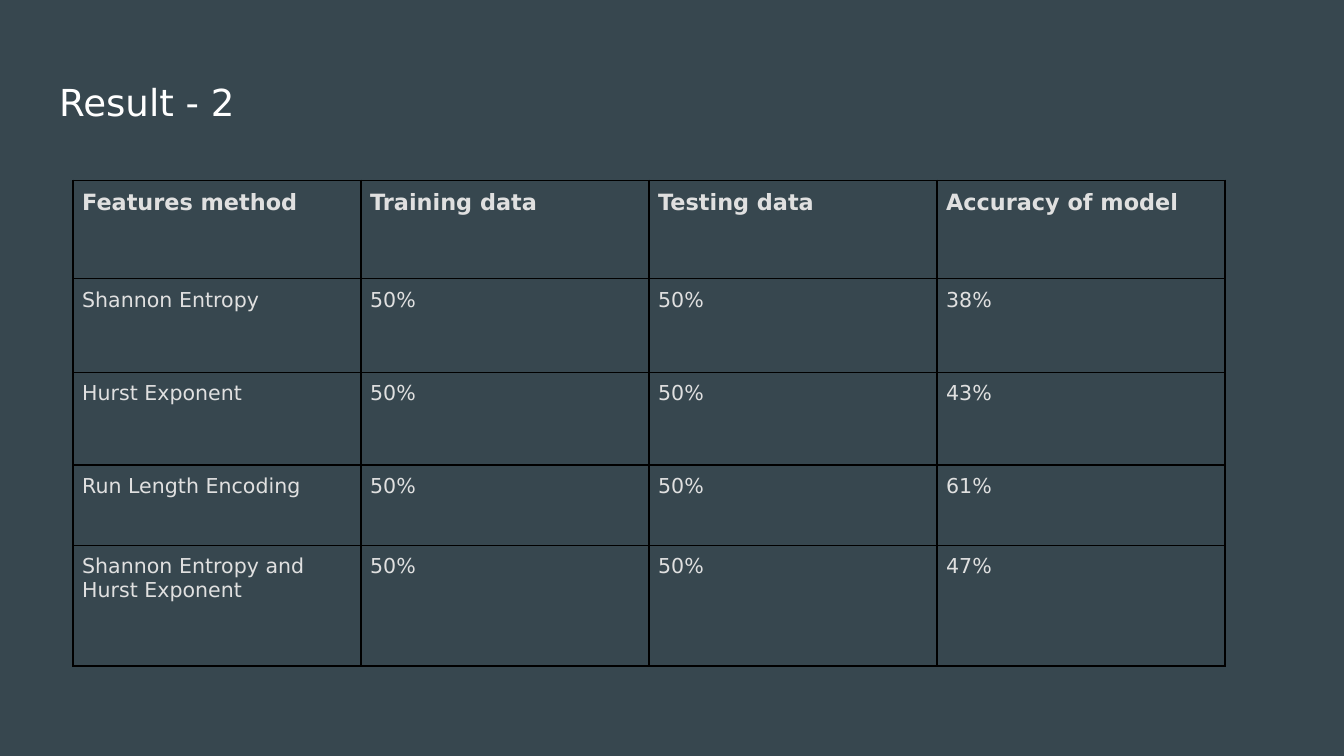
"""Build the slide with the second table of results."""

from lxml.etree import SubElement
from pptx import Presentation
from pptx.dml.color import RGBColor
from pptx.enum.text import MSO_ANCHOR, MSO_AUTO_SIZE, PP_ALIGN
from pptx.oxml.ns import qn
from pptx.util import Pt

TITLE = "Result - 2"
HEADERS = ["Features method", "Training data", "Testing data", "Accuracy of model"]
RESULTS = [
    ("Shannon Entropy", "50%", "50%", "38%"),
    ("Hurst Exponent", "50%", "50%", "43%"),
    ("Run Length Encoding", "50%", "50%", "61%"),
    ("Shannon Entropy and Hurst Exponent", "50%", "50%", "47%"),
]
ROW_HEIGHTS = [52.7, 50.2, 49.8, 42.9, 64.8]
COLUMN_WIDTH = 154.3
TABLE_LEFT, TABLE_TOP = 39, 96.6
FONT = "DejaVu Sans"
BACKGROUND, WHITE, LIGHT, BLACK = "37474F", "FFFFFF", "E0E0E0", "000000"


def color(value):
    return RGBColor.from_string(value)


def set_margins(target, margin):
    target.margin_left = target.margin_right = Pt(margin)
    target.margin_top = target.margin_bottom = Pt(margin)


def add_text(paragraph, text, size, text_color, bold=False):
    paragraph.alignment = PP_ALIGN.LEFT
    paragraph.line_spacing = 1.0
    run = paragraph.add_run()
    run.text = text
    run.font.name = FONT
    run.font.size = Pt(size)
    run.font.bold = bold
    run.font.color.rgb = color(text_color)


def add_borders(cell, line_color, width):
    properties = cell._tc.get_or_add_tcPr()
    for side in ("a:lnL", "a:lnR", "a:lnT", "a:lnB"):
        line = SubElement(properties, qn(side), w=str(Pt(width)))
        fill = SubElement(line, qn("a:solidFill"))
        SubElement(fill, qn("a:srgbClr"), val=line_color)


def add_title(slide):
    title = slide.shapes.title
    title.left, title.top = Pt(24.5), Pt(35.3)
    title.width, title.height = Pt(671), Pt(45.4)
    frame = title.text_frame
    frame.word_wrap = True
    frame.auto_size = MSO_AUTO_SIZE.NONE
    frame.vertical_anchor = MSO_ANCHOR.TOP
    set_margins(frame, 7.2)
    add_text(frame.paragraphs[0], TITLE, 19.9, WHITE)


def add_results(slide):
    rows = [HEADERS, *RESULTS]
    table = slide.shapes.add_table(
        len(rows), len(HEADERS), Pt(TABLE_LEFT), Pt(TABLE_TOP),
        Pt(COLUMN_WIDTH * len(HEADERS)), Pt(sum(ROW_HEIGHTS)),
    ).table
    table.horz_banding = False
    for column in table.columns:
        column.width = Pt(COLUMN_WIDTH)
    for row_index, (texts, height) in enumerate(zip(rows, ROW_HEIGHTS)):
        table.rows[row_index].height = Pt(height)
        is_header = row_index == 0
        for column_index, text in enumerate(texts):
            cell = table.cell(row_index, column_index)
            add_borders(cell, BLACK, 1)
            cell.fill.background()
            cell.vertical_anchor = MSO_ANCHOR.TOP
            set_margins(cell, 5)
            add_text(cell.text_frame.paragraphs[0], text,
                     12 if is_header else 11, LIGHT, is_header)


def main():
    presentation = Presentation()
    presentation.slide_width, presentation.slide_height = Pt(720), Pt(405)
    slide = presentation.slides.add_slide(presentation.slide_layouts[5])
    slide.background.fill.solid()
    slide.background.fill.fore_color.rgb = color(BACKGROUND)
    add_title(slide)
    add_results(slide)
    presentation.save("out.pptx")


if __name__ == "__main__":
    main()
